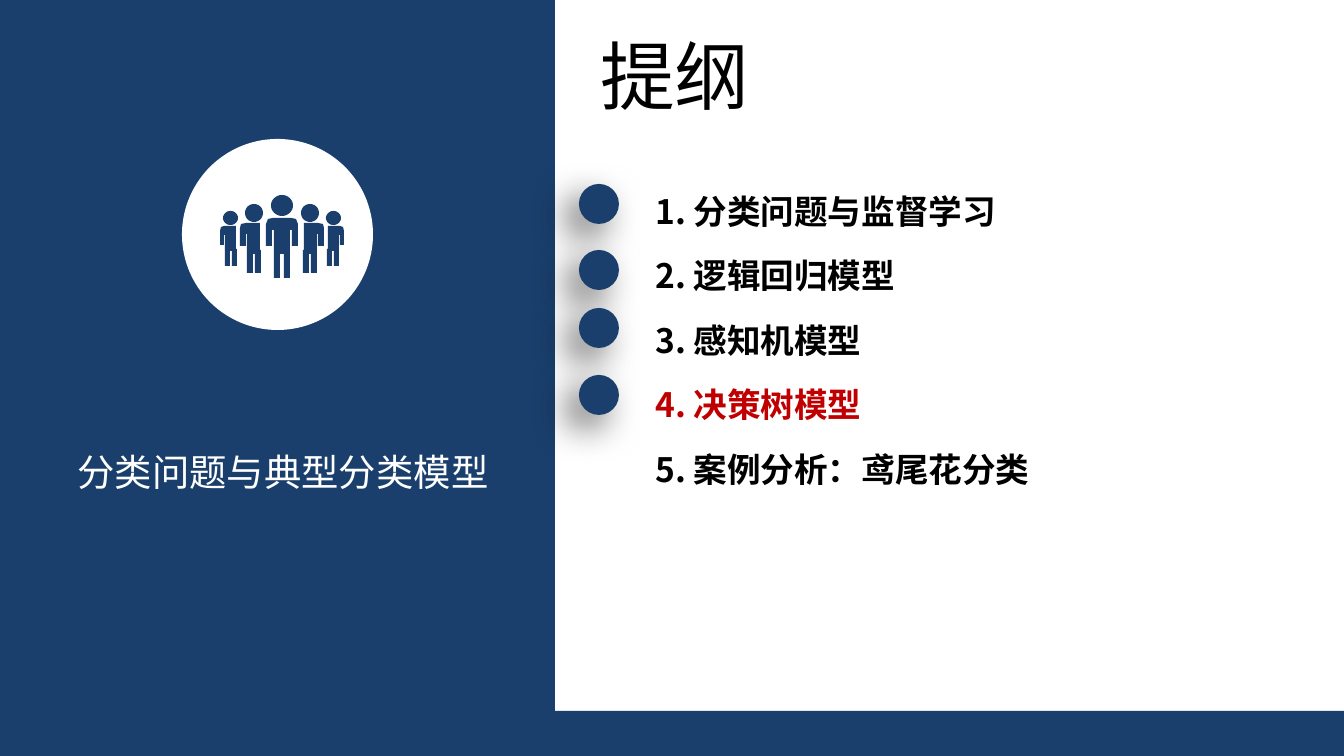
import math

from lxml import etree
from pptx import Presentation
from pptx.dml.color import RGBColor
from pptx.enum.shapes import MSO_SHAPE
from pptx.enum.text import PP_ALIGN
from pptx.oxml.ns import qn
from pptx.util import Pt

RECT, OVAL = MSO_SHAPE.RECTANGLE, MSO_SHAPE.OVAL
LEFT, CENTER = PP_ALIGN.LEFT, PP_ALIGN.CENTER

# Content
TITLE = "提纲"
SECTION = "分类问题与典型分类模型"
OUTLINE = [
    "1. 分类问题与监督学习",
    "2. 逻辑回归模型",
    "3. 感知机模型",
    "4. 决策树模型",
    "5. 案例分析：鸢尾花分类",
]
CURRENT = 3
COLORS = {"navy": "1A3F6C", "white": "FFFFFF", "black": "000000", "red": "C00000"}
FONT = "Noto Sans CJK SC"

# Layout in px
PX = 914400 / 134.4
W, H = 1344, 756
PANEL_W, BAR_TOP = 555, 711
DOT_X, DOT_SIZE, DOT_TOPS = 579, 40, [184, 250, 308, 375]

# People icon: heads as left, top, width, height; bodies as outlines
AXIS = 282
LEADER_HEAD = (271, 195, 22, 21)
LEADER_HALF = [(284, 254), (284, 278), (290, 278), (290, 230), (292, 230),
               (292, 246), (298, 246), (298, 224), (296, 219), (291, 218)]
SIDE_PEOPLE = [
    ((245, 204, 18, 18),
     [(261, 250), (261, 273), (255, 273), (255, 254), (253, 254), (253, 273),
      (247, 273), (247, 234), (246, 234), (246, 246), (240, 246), (240, 228),
      (241, 224), (246, 223), (260, 223), (260, 250)]),
    ((223, 211, 15, 14),
     [(237, 249), (237, 266), (232, 266), (232, 251), (230, 251), (230, 266),
      (225, 266), (225, 235), (224, 235), (224, 245), (220, 245), (220, 231),
      (221, 227), (224, 226), (236, 226), (236, 249)]),
]


def emu(*lengths):
    return [round(v * PX) for v in lengths]


def paint(sp, color):
    sp.shadow.inherit = False
    sp.fill.solid()
    sp.fill.fore_color.rgb = RGBColor.from_string(COLORS[color])
    sp.line.fill.background()
    return sp


def add_block(shapes, kind, box, color):
    return paint(shapes.add_shape(kind, *emu(*box)), color)


def add_text(s, lines, box, size, colors, bold=False, align=LEFT,
             spacing=None, wrap=True, inset=True):
    tb = s.shapes.add_textbox(*emu(*box))
    tf = tb.text_frame
    tf.word_wrap = wrap
    if not inset:
        tf.margin_left = tf.margin_right = tf.margin_top = tf.margin_bottom = 0
    for i, (line, color) in enumerate(zip(lines, colors)):
        p = tf.paragraphs[0] if i == 0 else tf.add_paragraph()
        p.alignment = align
        if spacing:
            p.line_spacing = spacing
        r = p.add_run()
        r.text = line
        r.font.size, r.font.bold, r.font.name = Pt(size), bold, FONT
        r.font.color.rgb = RGBColor.from_string(COLORS[color])
        etree.SubElement(r.font._element, qn("a:ea"), typeface=FONT)


def add_shadow(sp, color, alpha, blur, dist, angle):
    effects = sp._element.spPr.find(qn("a:effectLst"))
    shadow = etree.SubElement(
        effects, qn("a:outerShdw"), blurRad=str(Pt(blur)), dist=str(Pt(dist)),
        dir=str(angle * 60000), algn="tr", rotWithShape="0")
    clr = etree.SubElement(shadow, qn("a:srgbClr"), val=COLORS[color])
    etree.SubElement(clr, qn("a:alpha"), val=str(alpha * 1000))


def mirror(points):
    return [(2 * AXIS - x, y) for x, y in points]


def head_outline(x, y, w, h, sides=32):
    turns = [2 * math.pi * i / sides for i in range(sides)]
    return [(x + w / 2 * (1 + math.cos(t)), y + h / 2 * (1 + math.sin(t)))
            for t in turns]


def people_outlines():
    outlines = [head_outline(*LEADER_HEAD), LEADER_HALF + mirror(LEADER_HALF)[::-1]]
    for head, body in SIDE_PEOPLE:
        for points in (head_outline(*head), body):
            outlines += [points, mirror(points)]
    return outlines


def add_outlines(shapes, outlines, color, fine=10):
    scaled = [[(x * fine, y * fine) for x, y in points] for points in outlines]
    builder = shapes.build_freeform(*scaled[0][0], scale=PX / fine)
    for i, (start, *rest) in enumerate(scaled):
        if i:
            builder.move_to(*start)
        builder.add_line_segments(rest, close=True)
    return paint(builder.convert_to_shape(), color)


def main():
    prs = Presentation()
    prs.slide_width, prs.slide_height = emu(W, H)
    s = prs.slides.add_slide(prs.slide_layouts[6])

    # Background bands
    add_block(s.shapes, RECT, (0, BAR_TOP, W, H - BAR_TOP), "navy")
    add_block(s.shapes, RECT, (0, 0, PANEL_W, H), "navy")

    # Title and section name
    add_text(s, [TITLE], (587, 23, 177, 103), 40, ["black"], wrap=False)
    add_text(s, [SECTION], (72, 449, 422, 46), 20, ["white"],
             align=CENTER, inset=False)

    # People badge
    badge = s.shapes.add_group_shape()
    add_block(badge.shapes, OVAL, (182, 139, 191, 191), "white")
    add_outlines(badge.shapes, people_outlines(), "navy")

    # Outline with the current item highlighted
    colors = ["red" if i == CURRENT else "black" for i in range(len(OUTLINE))]
    add_text(s, OUTLINE, (642, 160, 404, 339), 18, colors, bold=True, spacing=1.6)

    # Shadowed dots
    for top in DOT_TOPS:
        dot = add_block(s.shapes, OVAL, (DOT_X, top, DOT_SIZE, DOT_SIZE), "navy")
        add_shadow(dot, "black", alpha=60, blur=20, dist=10, angle=135)

    prs.save("out.pptx")


if __name__ == "__main__":
    main()
